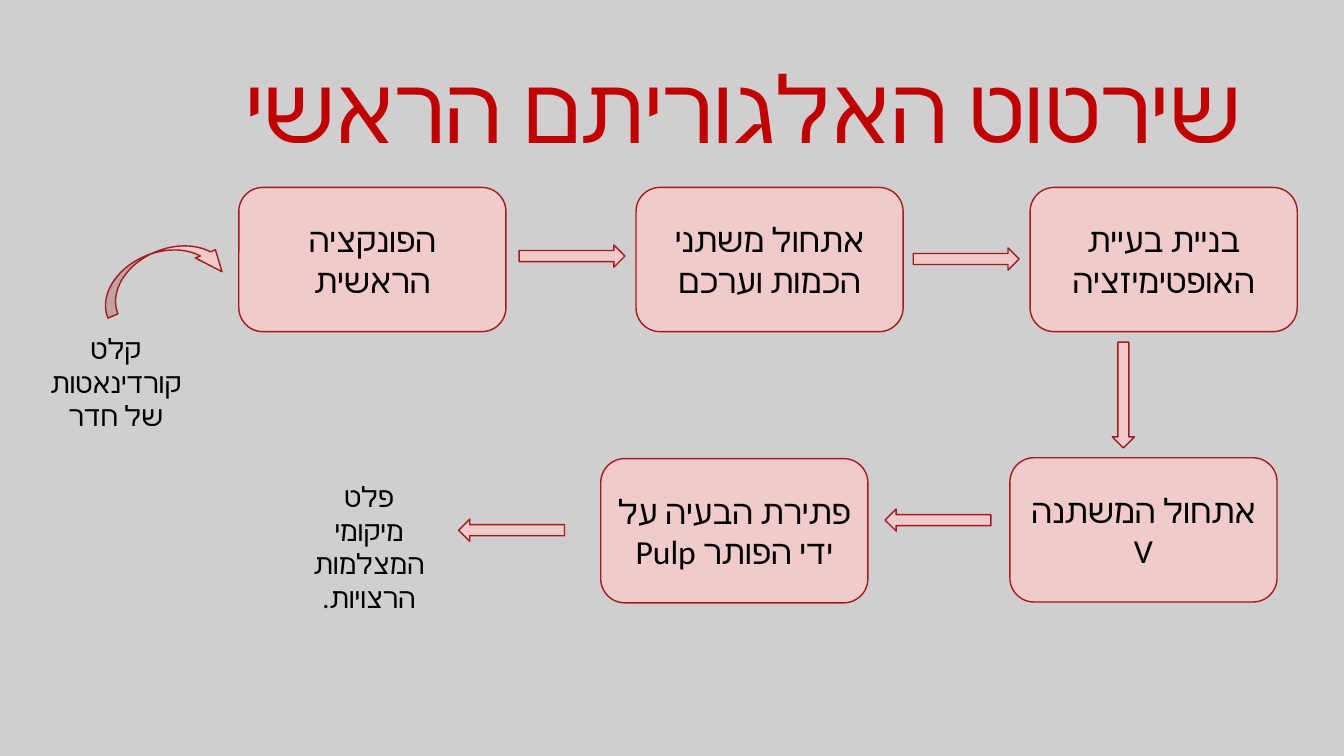
from lxml import etree
from pptx import Presentation
from pptx.dml.color import RGBColor
from pptx.enum.shapes import MSO_SHAPE
from pptx.enum.text import MSO_ANCHOR, MSO_AUTO_SIZE, PP_ALIGN
from pptx.oxml.ns import qn
from pptx.util import Pt

ROUNDED = MSO_SHAPE.ROUNDED_RECTANGLE
RIGHT_ARROW = MSO_SHAPE.RIGHT_ARROW
CURVED_ARROW = MSO_SHAPE.CURVED_LEFT_ARROW
MIDDLE = MSO_ANCHOR.MIDDLE
GROW = MSO_AUTO_SIZE.SHAPE_TO_FIT_TEXT
CENTER = PP_ALIGN.CENTER
RIGHT = PP_ALIGN.RIGHT

GREY = RGBColor(0xD0, 0xCE, 0xCE)
PINK = RGBColor(0xF1, 0xCB, 0xCB)
DARK_RED = RGBColor(0xA3, 0x1B, 0x1B)
TITLE_RED = RGBColor(0xC0, 0x00, 0x00)
BLACK = RGBColor(0x00, 0x00, 0x00)

FONT = "Calibri"
TITLE_ONLY = 5
STEP_SIZE = (190.8, 103)
ARROW_SIZE = (75.6, 15.8)
NOTE_SIZE = (133.9, 79.9)

# Left, top and text of each step
STEPS = [
    (170.6, 133.9, "הפונקציה הראשית"),
    (454.3, 133.9, "אתחול משתני הכמות וערכם"),
    (735.8, 133.9, "בניית בעיית האופטימיזציה"),
    (721.4, 327, "אתחול המשתנה V"),
    (429.1, 327.6, "פתירת הבעיה על ידי הפותר Pulp"),
]
# Left, top and rotation of each arrow
ARROWS = [
    (370.8, 175, 0),
    (652.3, 177.1, 0),
    (764.6, 274.3, 90),
    (632.2, 363.6, 180),
    (327.6, 370.8, 180),
]
# Left, top and lines of each note
NOTES = [
    (15.8, 233.3, ["קלט", "קורדינאטות של חדר"]),
    (196.6, 339.1, ["פלט", "מיקומי המצלמות הרצויות."]),
]


def write_text(frame, lines, size, color=BLACK, align=CENTER, spacing=None):
    """Fill a text frame with right-to-left paragraphs."""
    frame.word_wrap = True
    for index, line in enumerate(lines):
        para = frame.add_paragraph() if index else frame.paragraphs[0]
        para.alignment = align
        para.line_spacing = spacing
        para._p.get_or_add_pPr().set("rtl", "1")
        span = para.add_run()
        span.text = line
        span.font.size = Pt(size)
        span.font.color.rgb = color
        span.font.name = FONT
        # Hebrew letters use the complex script font
        etree.SubElement(span.font._element, qn("a:cs"), typeface=FONT)


def add_block(page, kind, left, top, size, rotation=0):
    """Add a pink preset shape with a dark red outline."""
    width, height = size
    block = page.shapes.add_shape(kind, Pt(left), Pt(top), Pt(width), Pt(height))
    block.rotation = rotation
    block.shadow.inherit = False
    block.fill.solid()
    block.fill.fore_color.rgb = PINK
    block.line.color.rgb = DARK_RED
    block.line.width = Pt(1)
    return block


def add_step(page, left, top, text):
    step = add_block(page, ROUNDED, left, top, STEP_SIZE)
    step.text_frame.vertical_anchor = MIDDLE
    write_text(step.text_frame, [text], size=24)


def add_note(page, left, top, lines):
    width, height = NOTE_SIZE
    note = page.shapes.add_textbox(Pt(left), Pt(top), Pt(width), Pt(height))
    write_text(note.text_frame, lines, size=20)
    note.text_frame.auto_size = GROW


def add_input_arrow(page):
    arrow = add_block(page, CURVED_ARROW, 100.1, 146.9, (31, 95.8), rotation=247.9)
    for index, value in enumerate((0.25, 0.5, 0.525)):
        arrow.adjustments[index] = value


def set_title(page, text):
    title = page.shapes.title
    title.left, title.top = Pt(66.2), Pt(28.8)
    title.width, title.height = Pt(828), Pt(104.4)
    title.text_frame.vertical_anchor = MIDDLE
    write_text(title.text_frame, [text], size=66, color=TITLE_RED,
               align=RIGHT, spacing=0.9)


def main():
    deck = Presentation()
    deck.slide_width, deck.slide_height = Pt(960), Pt(540)
    page = deck.slides.add_slide(deck.slide_layouts[TITLE_ONLY])
    page.background.fill.solid()
    page.background.fill.fore_color.rgb = GREY

    set_title(page, "שירטוט האלגוריתם הראשי")
    for left, top, text in STEPS:
        add_step(page, left, top, text)
    for left, top, rotation in ARROWS:
        add_block(page, RIGHT_ARROW, left, top, ARROW_SIZE, rotation)
    for left, top, lines in NOTES:
        add_note(page, left, top, lines)
    add_input_arrow(page)
    deck.save("out.pptx")


if __name__ == "__main__":
    main()
